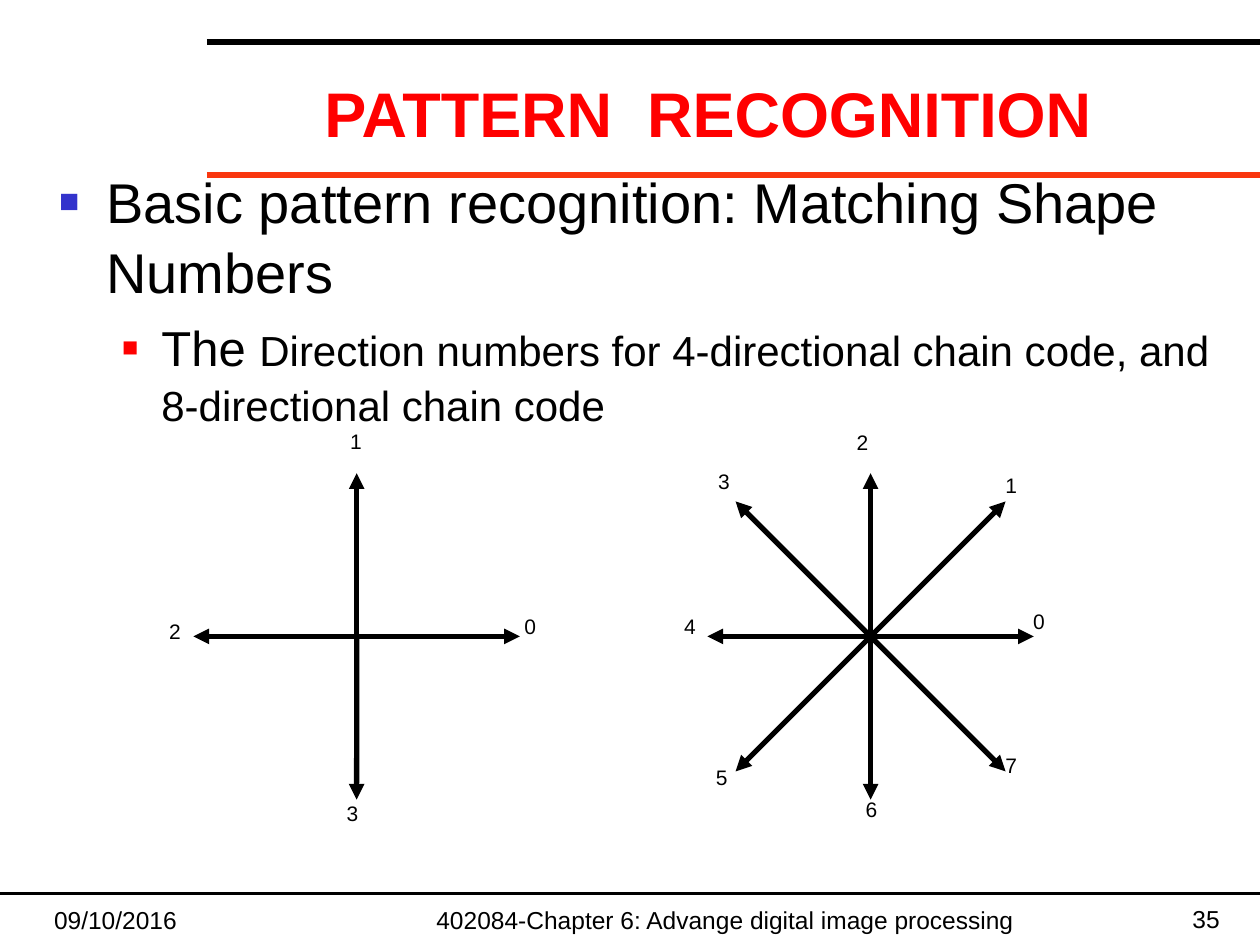
import math

import pptx
import pptx.dml.color
import pptx.enum.shapes
import pptx.enum.text
import pptx.oxml
import pptx.oxml.ns
import pptx.util

Cm, Pt = pptx.util.Cm, pptx.util.Pt
ALIGN = pptx.enum.text.PP_ALIGN
ANCHOR = pptx.enum.text.MSO_ANCHOR


class Theme:
    font = "Arial"
    ink, red, rule, bullet = "000000", "FF0000", "F9370F", "3333CC"
    title, body, lead, detail, footer, label = 36, 32, 28, 24, 14, 12


BULLETS = [
    dict(color=Theme.bullet, percent=60, indent=0.95, hang=0.95, before=0,
         runs=[("Basic pattern recognition: Matching Shape Numbers", Theme.body)]),
    dict(color=Theme.red, percent=55, indent=2.06, hang=0.79, before=5.6,
         runs=[("The ", Theme.lead),
               ("Direction numbers for 4-directional chain code, "
                "and 8-directional chain code", Theme.detail)]),
]
# Top-left corner of each direction's label, in cm from the centre of the rose
FOUR_LABELS = [(3.38, -0.46), (-0.13, -4.19), (-3.78, -0.36), (-0.2, 3.3)]
EIGHT_LABELS = [(3.28, -0.56), (2.72, -3.3), (-0.28, -4.17), (-3.07, -3.38),
                (-3.76, -0.46), (-3.12, 2.59), (-0.1, 3.23), (2.72, 2.34)]


def set_attributes(target, values):
    for name, value in values.items():
        setattr(target, name, value)


def place(sp, box):
    names = ("left", "top", "width", "height")
    set_attributes(sp, dict(zip(names, map(Cm, box))))


def add_run(p, text, size, color=Theme.ink, bold=False):
    r = p.add_run()
    r.text = text
    set_attributes(r.font, dict(name=Theme.font, size=Pt(size), bold=bold))
    r.font.color.rgb = pptx.dml.color.RGBColor.from_string(color)


def add_text(shapes, box, text, size, align=ALIGN.LEFT, **frame):
    tf = shapes.add_textbox(*map(Cm, box)).text_frame
    set_attributes(tf, dict(word_wrap=True, **frame))
    p = tf.paragraphs[0]
    p.alignment = align
    add_run(p, text, size)


def add_xml(parent, tag, **attributes):
    child = pptx.oxml.parse_xml(f"<a:{tag} {pptx.oxml.ns.nsdecls('a')}/>")
    for name, value in attributes.items():
        child.set(name, str(value))
    parent.append(child)
    return child


def add_line(shapes, start, end, width, color=Theme.ink, arrow=False):
    line = shapes.add_connector(pptx.enum.shapes.MSO_CONNECTOR.STRAIGHT,
                                *map(Cm, (*start, *end)))
    line.line.width = Pt(width)
    line.line.color.rgb = pptx.dml.color.RGBColor.from_string(color)
    if arrow:
        add_xml(line.line._get_or_add_ln(), "tailEnd", type="triangle")
    add_xml(line._element.spPr, "effectLst")
    return line


def add_rules(s, width):
    """Draw the header and footer rules behind everything else."""
    for left, y, weight, color in ((4.17, 3.53, 3.5, Theme.rule),
                                   (4.17, 0.84, 3.5, Theme.ink),
                                   (0, 18.01, 2, Theme.ink)):
        line = add_line(s.shapes, (left, y), (width, y), weight, color)
        s.shapes._spTree.insert(2, line._element)


def fill_title(sp, box):
    place(sp, box)
    tf = sp.text_frame
    set_attributes(tf, dict(vertical_anchor=ANCHOR.BOTTOM, word_wrap=True,
                            auto_size=pptx.enum.text.MSO_AUTO_SIZE.NONE))
    p = tf.paragraphs[0]
    p.alignment = ALIGN.CENTER
    add_run(p, "PATTERN  RECOGNITION", Theme.title, Theme.red, True)


def fill_body(sp, box):
    place(sp, box)
    tf = sp.text_frame
    set_attributes(tf, dict(vertical_anchor=ANCHOR.TOP, word_wrap=True,
                            auto_size=pptx.enum.text.MSO_AUTO_SIZE.NONE))
    for level, item in enumerate(BULLETS):
        p = tf.add_paragraph() if level else tf.paragraphs[0]
        set_attributes(p, dict(level=level, space_before=Pt(item["before"]),
                               line_spacing=1.05))
        pPr = p._p.get_or_add_pPr()
        pPr.set("marL", str(Cm(item["indent"])))
        pPr.set("indent", str(-Cm(item["hang"])))
        add_xml(add_xml(pPr, "buClr"), "srgbClr", val=item["color"])
        add_xml(pPr, "buSzPct", val=item["percent"] * 1000)
        add_xml(pPr, "buFont", typeface=Theme.font)
        add_xml(pPr, "buChar", char="■")
        for text, size in item["runs"]:
            add_run(p, text, size)


def add_rose(s, box, labels):
    """Draw numbered arrows counter-clockwise from the centre of a square box."""
    left, top, side = box
    reach = side / 2
    cx, cy = left + reach, top + reach
    shapes = s.shapes.add_group_shape().shapes
    for number, (dx, dy) in enumerate(labels):
        angle = 2 * math.pi * number / len(labels)
        diagonal = len(labels) == 8 and number % 2
        length = reach * (1.17 if diagonal else 1)
        tip = (cx + length * math.cos(angle), cy - length * math.sin(angle))
        add_line(shapes, (cx, cy), tip, 3, arrow=True)
        add_text(shapes, (cx + dx, cy + dy, 0.79, 1.09), str(number), Theme.label,
                 margin_left=0, margin_top=0, margin_right=0, margin_bottom=0)


def add_footer(s, box):
    left, top, width, height = box
    for x, w, text, align in (
            (0, 5.28, "09/10/2016", ALIGN.LEFT),
            (6.58, 14.4, "402084-Chapter 6: Advange digital image processing",
             ALIGN.CENTER),
            (width - 5.28, 5.28, "35", ALIGN.RIGHT)):
        y = top - 0.03 if align == ALIGN.RIGHT else top
        add_text(s.shapes, (left + x, y, w, height), text, Theme.footer, align,
                 vertical_anchor=ANCHOR.BOTTOM)


def main():
    prs = pptx.Presentation()
    set_attributes(prs, dict(slide_width=Cm(25.4), slide_height=Cm(19.05)))
    s = prs.slides.add_slide(prs.slide_layouts[1])
    add_rules(s, 25.4)
    fill_title(s.shapes.title, (3.66, 0.41, 21.23, 2.74))
    fill_body(s.placeholders[1], (0.94, 3.18, 24.03, 12.8))
    add_rose(s, (3.9, 9.54, 6.58), FOUR_LABELS)
    add_rose(s, (14.26, 9.54, 6.58), EIGHT_LABELS)
    add_footer(s, (0.84, 17.7, 24, 1.27))
    prs.save("out.pptx")


if __name__ == "__main__":
    main()
